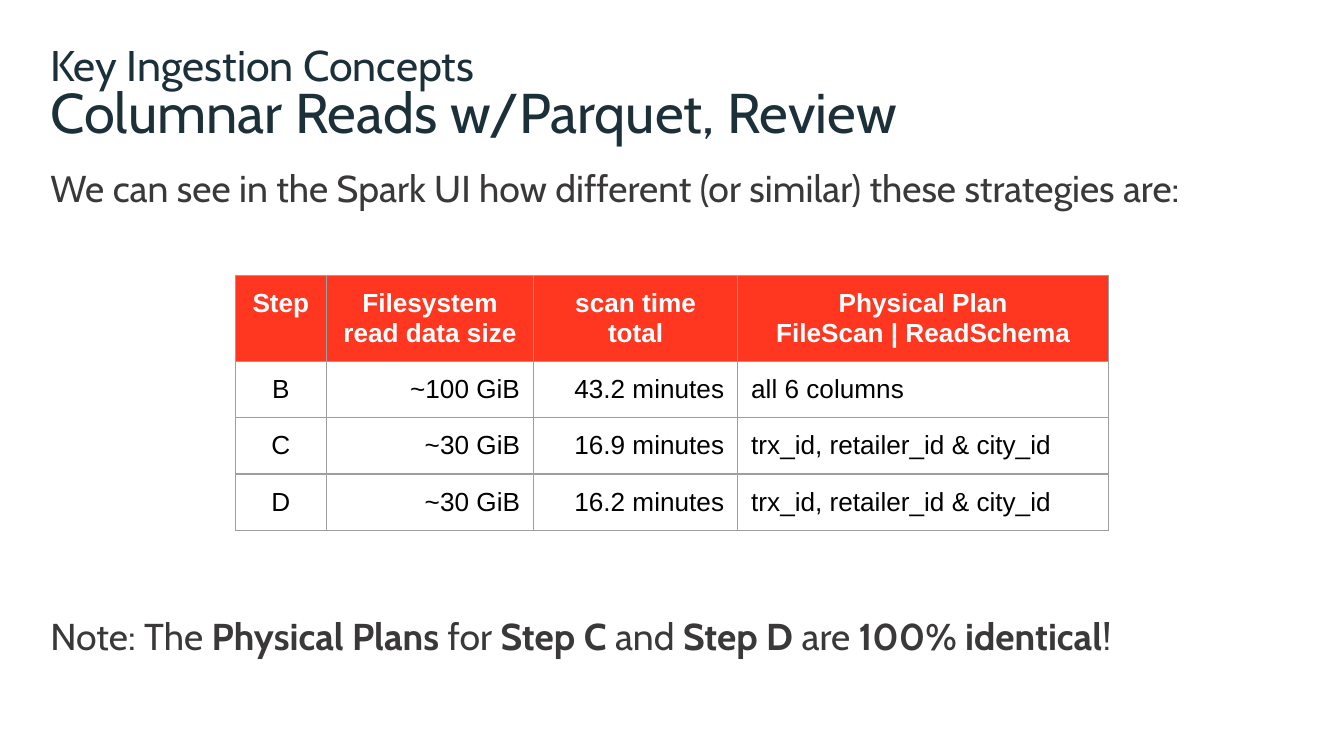
from lxml.etree import SubElement
from pptx import Presentation
from pptx.dml.color import RGBColor
from pptx.enum.text import MSO_ANCHOR, MSO_AUTO_SIZE, PP_ALIGN
from pptx.oxml.ns import qn
from pptx.util import Inches, Pt

COLORS = {
    "heading": "1B3038",
    "body": "3A3838",
    "header": "FF3620",
    "header_text": "FFFFFF",
    "cell_text": "000000",
    "border": "9E9E9E",
}
UNIT = 0.25  # inches per grid column and row
COLUMNS, ROWS = 40, 22.5
MARGIN = 1.5
TEXT_WIDTH = COLUMNS - MARGIN

INTRO = [("We can see in the Spark UI how different (or similar) these strategies are:", False)]
NOTE = [
    ("Note: The ", False), ("Physical Plans", True), (" for ", False),
    ("Step C", True), (" and ", False), ("Step D", True),
    (" are ", False), ("100% identical", True), ("!", False),
]
HEADERS = ["Step", "Filesystem\nread data size", "scan time\ntotal",
           "Physical Plan\nFileScan | ReadSchema"]
STEPS = [
    ["B", "~100 GiB", "43.2 minutes", "all 6 columns"],
    ["C", "~30 GiB", "16.9 minutes", "trx_id, retailer_id & city_id"],
    ["D", "~30 GiB", "16.2 minutes", "trx_id, retailer_id & city_id"],
]
ALIGNMENTS = [PP_ALIGN.CENTER, PP_ALIGN.RIGHT, PP_ALIGN.RIGHT, PP_ALIGN.LEFT]
COLUMN_WIDTHS = [2.72, 6.16, 6.08, 11.04]
ROW_HEIGHTS = [2.52] + [1.68] * len(STEPS)


def grid(count):
    """Convert grid columns or rows to a length."""
    return Inches(count * UNIT)


def color(name):
    return RGBColor.from_string(COLORS[name])


class SlideBuilder:
    """Holds the text style and the current slide."""

    heading_font = "Cabin"
    table_font = "Arial"

    def __init__(self, deck):
        self.slide = deck.slides.add_slide(deck.slide_layouts[5])

    def add_run(self, para, text, size, ink, font, bold=False):
        span = para.add_run()
        span.text = text
        span.font.name = font
        span.font.size = Pt(size)
        span.font.bold = bold
        span.font.color.rgb = color(ink)

    def prepare_frame(self, box, inset):
        frame = box.text_frame
        frame.word_wrap = True
        frame.auto_size = MSO_AUTO_SIZE.NONE
        frame.vertical_anchor = MSO_ANCHOR.TOP
        frame.margin_left = frame.margin_right = 0
        frame.margin_top = frame.margin_bottom = Inches(inset)
        return frame

    def add_title(self, text, top, height):
        title = self.slide.shapes.title
        title.left, title.top = grid(MARGIN), grid(top)
        title.width, title.height = grid(TEXT_WIDTH), grid(height)
        para = self.prepare_frame(title, 0.04).paragraphs[0]
        para.alignment = PP_ALIGN.LEFT
        self.add_run(para, text, 23, "heading", self.heading_font)

    def add_text(self, paragraphs, top, height, size, ink, inset=0.0, line_spacing=1.0, gap=0):
        """Add a text box; gap is the space in points between its paragraphs."""
        box = self.slide.shapes.add_textbox(
            grid(MARGIN), grid(top), grid(TEXT_WIDTH), grid(height))
        frame = self.prepare_frame(box, inset)
        for index, spans in enumerate(paragraphs):
            para = frame.add_paragraph() if index else frame.paragraphs[0]
            para.line_spacing = line_spacing
            if index:
                para.space_before = Pt(gap)
            for text, bold in spans:
                self.add_run(para, text, size, ink, self.heading_font, bold)

    def add_borders(self, cell):
        properties = cell._tc.get_or_add_tcPr()
        for side in ("a:lnL", "a:lnR", "a:lnT", "a:lnB"):
            line = SubElement(properties, qn(side), w=str(Pt(0.75)))
            fill = SubElement(line, qn("a:solidFill"))
            SubElement(fill, qn("a:srgbClr"), val=COLORS["border"])

    def fill_cell(self, cell, text, alignment, is_header):
        self.add_borders(cell)
        if is_header:
            cell.fill.solid()
            cell.fill.fore_color.rgb = color("header")
        else:
            cell.fill.background()
        cell.margin_left = cell.margin_right = Inches(0.1)
        cell.margin_top = cell.margin_bottom = Inches(0.1)
        para = cell.text_frame.paragraphs[0]
        para.alignment = alignment
        ink = "header_text" if is_header else "cell_text"
        for index, line in enumerate(text.split("\n")):
            if index:
                para.add_line_break()
            self.add_run(para, line, 14, ink, self.table_font, is_header)

    def add_table(self, left, top):
        rows = [HEADERS] + STEPS
        table = self.slide.shapes.add_table(
            len(rows), len(HEADERS), grid(left), grid(top),
            grid(sum(COLUMN_WIDTHS)), grid(sum(ROW_HEIGHTS))).table
        table.horz_banding = False
        for column, width in zip(table.columns, COLUMN_WIDTHS):
            column.width = grid(width)
        for row, height in zip(table.rows, ROW_HEIGHTS):
            row.height = grid(height)
        for row_index, texts in enumerate(rows):
            is_header = row_index == 0
            for column_index, text in enumerate(texts):
                alignment = PP_ALIGN.CENTER if is_header else ALIGNMENTS[column_index]
                self.fill_cell(table.cell(row_index, column_index), text, alignment, is_header)


def main():
    deck = Presentation()
    deck.slide_width, deck.slide_height = grid(COLUMNS), grid(ROWS)
    page = SlideBuilder(deck)
    page.add_title("Key Ingestion Concepts", top=1, height=1.68)
    page.add_text([INTRO, NOTE], top=4.92, height=15.08, size=20, ink="body",
                  inset=0.04, line_spacing=0.9, gap=218)
    page.add_table(left=7, top=8.2)
    page.add_text([[("Columnar Reads w/Parquet, Review", False)]],
                  top=2.32, height=2, size=30, ink="heading")
    deck.save("out.pptx")


if __name__ == "__main__":
    main()
